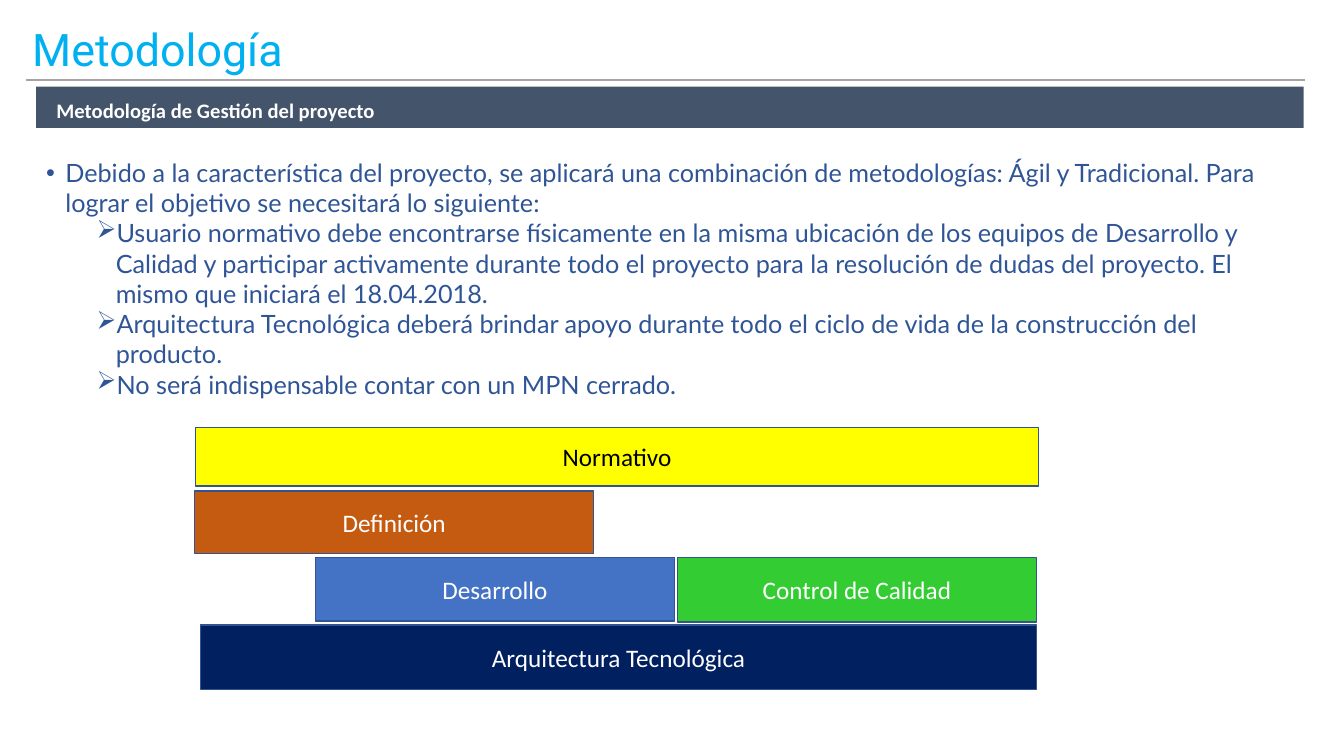
"""Build the project methodology slide with its team timeline."""
from typing import NamedTuple

from lxml import etree
from pptx import Presentation
from pptx.dml.color import RGBColor
from pptx.enum.shapes import MSO_CONNECTOR, MSO_SHAPE
from pptx.enum.text import MSO_ANCHOR, PP_ALIGN
from pptx.oxml.ns import qn
from pptx.util import Pt

RECT, LINE = MSO_SHAPE.RECTANGLE, MSO_CONNECTOR.STRAIGHT
LEFT, CENTER = PP_ALIGN.LEFT, PP_ALIGN.CENTER
TOP, MIDDLE, BOTTOM = MSO_ANCHOR.TOP, MSO_ANCHOR.MIDDLE, MSO_ANCHOR.BOTTOM
PX = 9144
COLORS = {
    "title": "00B0F0", "slate": "44546A", "rule": "A5A5A5", "body": "2F5597",
    "edge": "325491", "white": "FFFFFF", "black": "000000", "yellow": "FFFF00",
    "orange": "C55A11", "blue": "4472C4", "green": "33CC33", "navy": "002060",
}


class Box(NamedTuple):
    left: int
    top: int
    width: int
    height: int


class Phase(NamedTuple):
    name: str
    box: Box
    fill: str
    ink: str = "white"


class Point(NamedTuple):
    text: str
    level: int
    mark: str
    indent: int


PHASES = [
    Phase("Desarrollo", Box(313, 553, 356, 63), "blue"),
    Phase("Control de Calidad", Box(672, 553, 356, 64), "green"),
    Phase("Definición", Box(193, 487, 396, 62), "orange"),
    Phase("Normativo", Box(194, 424, 836, 58), "yellow", "black"),
    Phase("Arquitectura Tecnológica", Box(199, 620, 829, 64), "navy"),
]
POINTS = [
    Point("Debido a la característica del proyecto, se aplicará una combinación de "
          "metodologías: Ágil y Tradicional. Para lograr el objetivo se necesitará "
          "lo siguiente:", 0, "•", 19),
    Point("Usuario normativo debe encontrarse físicamente en la misma ubicación de los "
          "equipos de Desarrollo y Calidad y participar activamente durante todo el "
          "proyecto para la resolución de dudas del proyecto. El mismo que iniciará "
          "el 18.04.2018.", 1, "➢", 69),
    Point("Arquitectura Tecnológica deberá brindar apoyo durante todo el ciclo de vida "
          "de la construcción del producto.", 1, "➢", 69),
    Point("No será indispensable contar con un MPN cerrado.", 1, "➢", 69),
]


def color(name: str) -> RGBColor:
    """Return a named colour."""
    return RGBColor.from_string(COLORS[name])


def scale(box: Box) -> list[int]:
    """Turn a box in px into EMU."""
    return [side * PX for side in box]


def setup(frame, anchor=MIDDLE, pad: Box = Box(10, 5, 10, 5)) -> None:
    """Set wrapping, anchor and left, top, right, bottom margins."""
    frame.word_wrap = True
    frame.vertical_anchor = anchor
    (frame.margin_left, frame.margin_top,
     frame.margin_right, frame.margin_bottom) = scale(pad)


def write(para, text: str, *, font="Calibri", size=18.0, ink="white", bold=False,
          align=LEFT, space=1.0, before=0) -> None:
    """Write one formatted paragraph."""
    para.alignment, para.line_spacing = align, space
    para.space_before = Pt(before)
    run = para.add_run()
    run.text = text
    run.font.name, run.font.size, run.font.bold = font, Pt(size), bold
    run.font.color.rgb = color(ink)


def bullet(para, point: Point) -> None:
    """Give a paragraph its level, hanging indent and bullet."""
    para.level = point.level
    props = para._p.get_or_add_pPr()
    props.set("marL", str(point.indent * PX))
    props.set("indent", str(-19 * PX))
    face = "Arial" if point.level == 0 else "Wingdings"
    if point.level == 0:
        etree.SubElement(props, qn("a:buFont")).set("typeface", face)
    etree.SubElement(props, qn("a:buChar")).set("char", point.mark)


def block(slide, box: Box, fill: str, edge: str = ""):
    """Draw a filled rectangle, outlined if an edge colour is given."""
    shape = slide.shapes.add_shape(RECT, *scale(box))
    shape.shadow.inherit = False
    shape.fill.solid()
    shape.fill.fore_color.rgb = color(fill)
    if edge:
        shape.line.color.rgb = color(edge)
        shape.line.width = Pt(1)
    else:
        shape.line.fill.background()
    return shape


def header(slide) -> None:
    """Draw the title, its rule and the subtitle bar."""
    title = slide.shapes.title
    title.left, title.top, title.width, title.height = scale(Box(26, 8, 1300, 70))
    setup(title.text_frame, pad=Box(6, 6, 6, 6))
    write(title.text_frame.paragraphs[0], "Metodología", font="Roboto", size=32,
          ink="title", space=1.2, before=6)
    bar = block(slide, Box(36, 86, 1257, 41), "slate")
    setup(bar.text_frame, BOTTOM, Box(20, 16, 20, 5))
    write(bar.text_frame.paragraphs[0], "Metodología de Gestión del proyecto",
          size=14.7, bold=True, space=0.9)
    rule = slide.shapes.add_connector(LINE, *scale(Box(26, 79, 1294, 79)))
    rule.line.color.rgb = color("rule")
    rule.line.width = Pt(1.5)
    etree.SubElement(rule._element.spPr, qn("a:effectLst"))


def body(slide) -> None:
    """Write the bulleted requirements."""
    frame = slide.shapes.add_textbox(*scale(Box(36, 151, 1254, 252))).text_frame
    setup(frame, TOP)
    for i, point in enumerate(POINTS):
        para = frame.add_paragraph() if i else frame.paragraphs[0]
        write(para, point.text, font="Lato", ink="body")
        bullet(para, point)


def chart(slide) -> None:
    """Draw the phases of the project."""
    for phase in PHASES:
        frame = block(slide, phase.box, phase.fill, "edge").text_frame
        setup(frame)
        write(frame.paragraphs[0], phase.name, ink=phase.ink, align=CENTER)


def main() -> None:
    """Build and save the slide."""
    deck = Presentation()
    deck.slide_width, deck.slide_height = 1333 * PX, 750 * PX
    slide = deck.slides.add_slide(deck.slide_layouts[5])
    header(slide)
    body(slide)
    chart(slide)
    deck.save("out.pptx")


if __name__ == "__main__":
    main()
